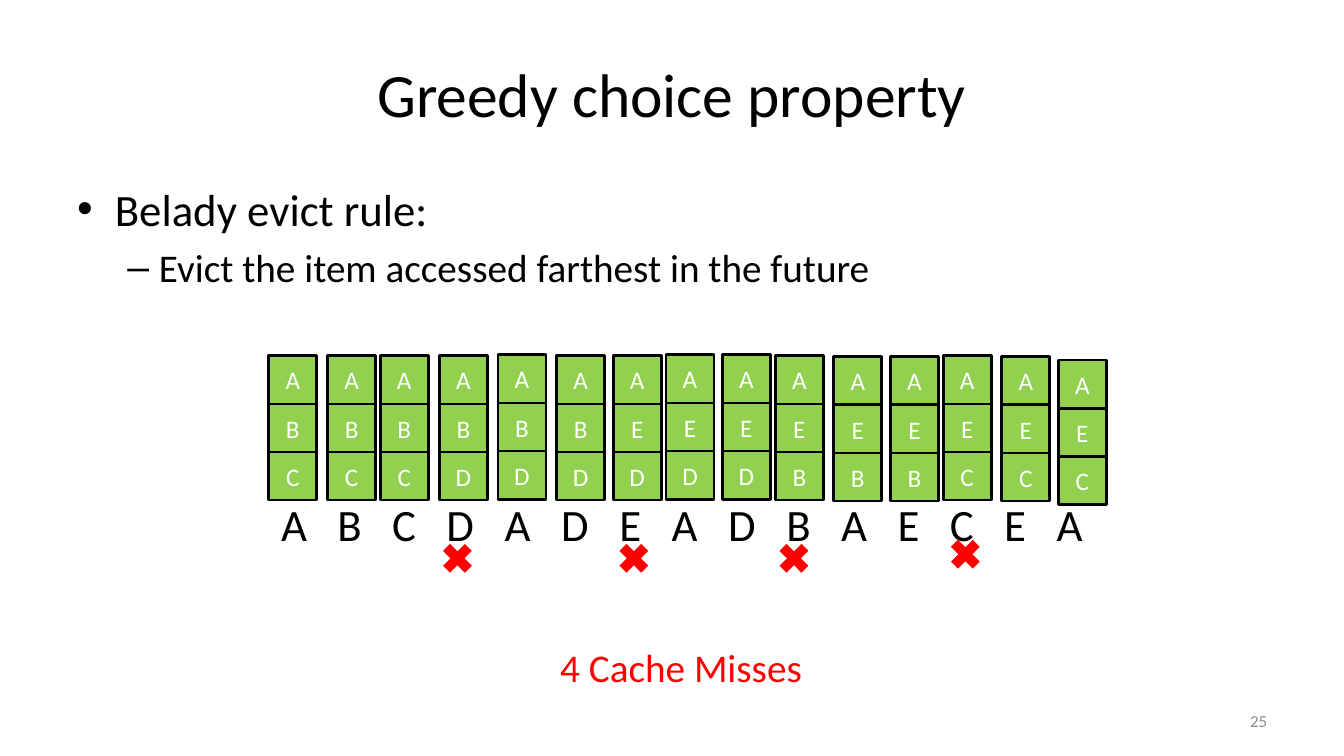
from dataclasses import dataclass
from lxml import etree
from pptx import Presentation
from pptx import util as u
from pptx.dml import color
from pptx.enum import shapes, text
from pptx.oxml import ns


@dataclass
class Theme:
    face: str = "Calibri"
    ink: str = "000000"
    pale: str = "FFFFFF"
    gray: str = "8C8C8C"
    cell: str = "92D050"
    miss: str = "FF0000"
    head: int = 44
    body: int = 32
    sub: int = 28
    item: int = 18
    note: int = 12


look = Theme()
rgb = color.RGBColor.from_string
mid = text.MSO_ANCHOR.MIDDLE
top = text.MSO_ANCHOR.TOP
left, center, right = text.PP_ALIGN.LEFT, text.PP_ALIGN.CENTER, text.PP_ALIGN.RIGHT


def write(para, words, size, tint, align=left):
    para.alignment = align
    run = para.add_run()
    run.text = words
    form = {"name": look.face, "size": u.Pt(size)}
    for key, value in form.items():
        setattr(run.font, key, value)
    run.font.color.rgb = rgb(tint)


def frame(x, y, w, h, anchor=top):
    box = page.shapes.add_textbox(u.Pt(x), u.Pt(y), u.Pt(w), u.Pt(h))
    form = {"word_wrap": True, "vertical_anchor": anchor}
    for key, value in form.items():
        setattr(box.text_frame, key, value)
    return box.text_frame


deck = Presentation()
deck.slide_width, deck.slide_height = u.Pt(960), u.Pt(540)
page = deck.slides.add_slide(deck.slide_layouts[6])

title = frame(48, 21.6, 864, 90, mid)
write(title.paragraphs[0], "Greedy choice property", look.head, look.ink, center)

body = frame(48, 126, 864, 356.4)
points = [
    ("Belady evict rule:", look.body, "•", 27, 27, 0),
    ("Evict the item accessed farthest in the future", look.sub, "–", 58.5, 22.5, 5.6),
]
for level, (words, size, mark, edge, hang, gap) in enumerate(points):
    para = body.add_paragraph() if level else body.paragraphs[0]
    para.level = level
    para.space_before = u.Pt(gap)
    props = para._p.get_or_add_pPr()
    props.set("marL", str(u.Pt(edge)))
    props.set("indent", str(u.Pt(-hang)))
    etree.SubElement(props, ns.qn("a:buFont"), typeface="Arial")
    etree.SubElement(props, ns.qn("a:buChar"), char=mark)
    write(para, words, size, look.ink)

number = frame(688.3, 500.4, 223.9, 28.8, mid)
write(number.paragraphs[0], "25", look.note, look.gray, right)

calls = "ABCDADEADBAECEA"
width = {"A": 0.58, "B": 0.54, "C": 0.53, "D": 0.62, "E": 0.49}
space = 0.68
para = frame(193.7, 351.4, 592.6, 46).paragraphs[0]
tabs = etree.SubElement(para._p.get_or_add_pPr(), ns.qn("a:tabLst"))
stop = 0
for call in calls[:-1]:
    stop += (width[call] + space) * look.body
    etree.SubElement(tabs, ns.qn("a:tab"), pos=str(u.Pt(stop)), algn="l")
write(para, "\t".join(calls), look.body, look.ink)

side = 34.35
base = 254.2
states = [
    (192, 0, "ABC"), (234, 0, "ABC"), (271.6, 0, "ABC"),
    (313.9, 0, "ABD"), (355.7, -0.7, "ABD"), (397.6, 0, "ABD"),
    (438, 0, "AED"), (475.7, -0.7, "AED"), (516, -0.7, "AED"),
    (553.8, 0, "AEB"), (595.6, 0.7, "AEB"), (636, 0.7, "AEB"),
    (673.7, 0, "AEC"), (715.6, 0.7, "AEC"), (756, 3, "AEC"),
]
for x, drop, items in states:
    stack = page.shapes.add_group_shape()
    for row, item in enumerate(items):
        y = base + drop + row * side
        cell = stack.shapes.add_shape(
            shapes.MSO_SHAPE.RECTANGLE, u.Pt(x), u.Pt(y), u.Pt(side), u.Pt(side))
        cell.shadow.inherit = False
        cell.fill.solid()
        cell.fill.fore_color.rgb = rgb(look.cell)
        cell.line.color.rgb = rgb(look.ink)
        cell.line.width = u.Pt(2)
        cell.text_frame.vertical_anchor = mid
        write(cell.text_frame.paragraphs[0], item, look.item, look.pale, center)

for x, y in [(311.8, 383.8), (437.8, 383.8), (552.2, 383.8), (674.6, 380.9)]:
    cross = page.shapes.add_shape(
        shapes.MSO_SHAPE.MATH_MULTIPLY, u.Pt(x), u.Pt(y), u.Pt(30), u.Pt(30))
    cross.shadow.inherit = False
    cross.fill.solid()
    cross.fill.fore_color.rgb = rgb(look.miss)
    cross.line.fill.background()

total = frame(393.1, 455.8, 189.4, 41)
total.word_wrap = False
write(total.paragraphs[0], "4 Cache Misses", look.sub, look.miss)

deck.save("out.pptx")
